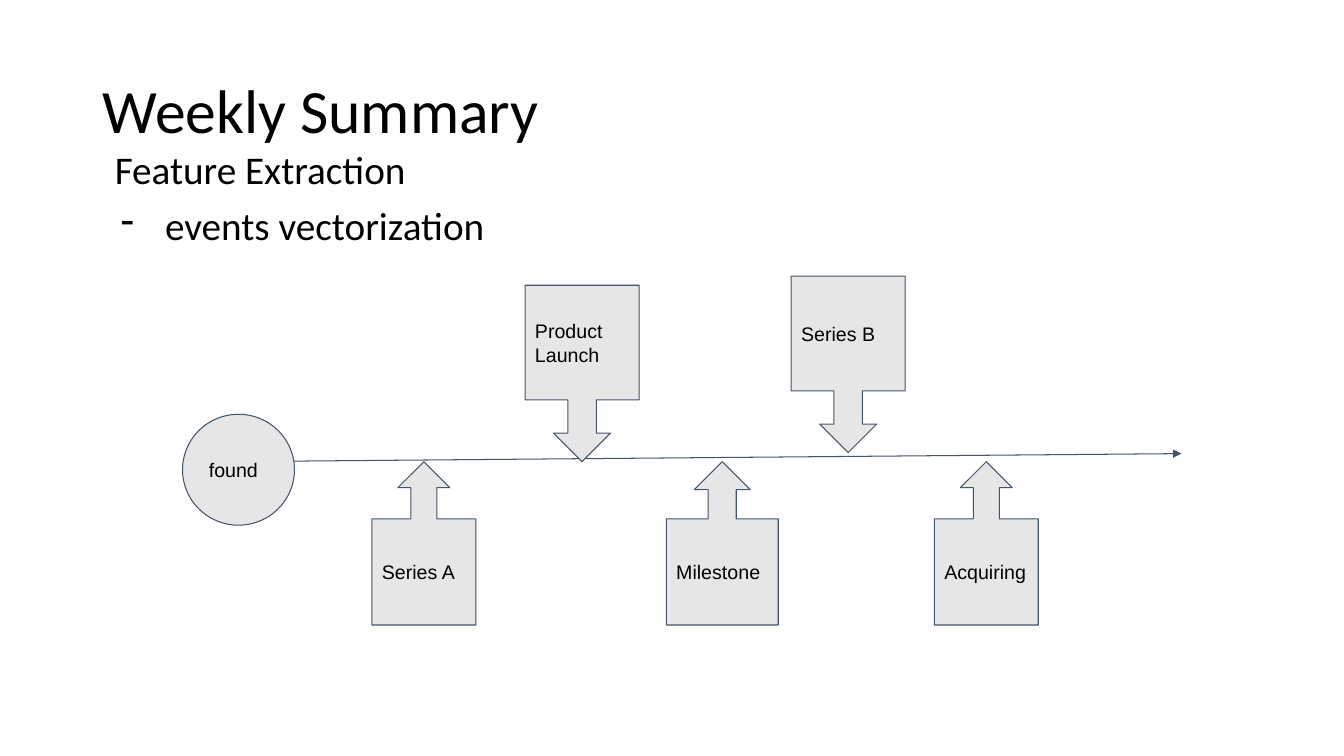
from dataclasses import dataclass

from lxml.etree import SubElement
from pptx import Presentation
from pptx.dml.color import RGBColor
from pptx.enum.shapes import MSO_CONNECTOR, MSO_SHAPE
from pptx.enum.text import MSO_ANCHOR, PP_ALIGN
from pptx.oxml.ns import qn
from pptx.util import Inches, Pt

COLORS = {"text": "000000", "fill": "E7E6E6", "line": "44546A"}
PAD = 0.1
AXIS = 61.07  # height of the timeline, percent of the slide


@dataclass(frozen=True)
class Event:
    """A callout whose tip touches the timeline; lengths in percent."""
    label: str
    center: float
    width: float
    above: bool = False
    tip: float = AXIS


EVENTS = [
    Event("Series A", 31.54, 7.73),
    Event("Milestone", 53.74, 8.33),
    Event("Product Launch", 43.31, 8.48, above=True),
    Event("Acquiring", 73.39, 7.73),
    Event("Series B", 63.11, 8.48, above=True, tip=59.87),
]

prs = Presentation()
prs.slide_width, prs.slide_height = Inches(13.333), Inches(7.5)
s = prs.slides.add_slide(prs.slide_layouts[6])


def px(share: float) -> int:
    return round(prs.slide_width * share / 100)


def py(share: float) -> int:
    return round(prs.slide_height * share / 100)


def rgb(name: str) -> RGBColor:
    return RGBColor.from_string(COLORS[name])


def write(sp, text: str, *, size: float, font: str, anchor=MSO_ANCHOR.MIDDLE,
          pad_y: float = PAD, spacing: float = 1.0, before: float = 0) -> None:
    tf = sp.text_frame
    tf.word_wrap = True
    tf.vertical_anchor = anchor
    tf.margin_left = tf.margin_right = Inches(PAD)
    tf.margin_top = tf.margin_bottom = Inches(pad_y)
    tf.text = text
    for p in tf.paragraphs:
        p.alignment = PP_ALIGN.LEFT
        p.line_spacing, p.space_before = spacing, Pt(before)
        for r in p.runs:
            r.font.size, r.font.name = Pt(size), font
            r.font.color.rgb = rgb("text")


def add_text(left: float, top: float, width: float, height: float, text: str, **fmt):
    sp = s.shapes.add_textbox(px(left), py(top), px(width), py(height))
    write(sp, text, font="Calibri", pad_y=0.05, spacing=0.9, **fmt)
    return sp


def add_node(kind, left: float, top: float, width: float, height: float, text: str):
    sp = s.shapes.add_shape(kind, px(left), py(top), px(width), py(height))
    sp.shadow.inherit = False
    sp.fill.solid()
    sp.fill.fore_color.rgb = rgb("fill")
    sp.line.color.rgb = rgb("line")
    sp.line.width = Pt(0.75)
    write(sp, text, size=14, font="Arial")
    return sp


def add_event(event: Event) -> None:
    height = 23.33 if event.above else 21.6
    kind = MSO_SHAPE.DOWN_ARROW_CALLOUT if event.above else MSO_SHAPE.UP_ARROW_CALLOUT
    top = event.tip - height if event.above else event.tip
    sp = add_node(kind, event.center - event.width / 2, top, event.width, height, event.label)
    for i, value in enumerate((0.25, 0.25, 0.25, 0.65)):
        sp.adjustments[i] = value


def add_arrow(x1: float, y1: float, x2: float, y2: float) -> None:
    cn = s.shapes.add_connector(MSO_CONNECTOR.STRAIGHT, px(x1), py(y1), px(x2), py(y2))
    cn.line.color.rgb = rgb("line")
    cn.line.width = Pt(0.75)
    SubElement(cn.line._get_or_add_ln(), qn("a:tailEnd"), type="triangle")
    SubElement(cn._element.spPr, qn("a:effectLst"))


# Title and body
add_text(6.9, 5.33, 86.25, 19.33, "Weekly Summary", size=44)
body = add_text(7.8, 19.2, 86.25, 63.47, "Feature Extraction\nevents vectorization",
                size=28, anchor=MSO_ANCHOR.TOP, before=10)
pPr = body.text_frame.paragraphs[1]._p.get_or_add_pPr()
pPr.set("marL", str(Inches(0.5)))
pPr.set("indent", str(Inches(-0.44)))
SubElement(pPr, qn("a:buChar"), char="-")

# Timeline, its start and its events
add_arrow(17.1, AXIS, 87.9, 60)
add_node(MSO_SHAPE.OVAL, 13.58, 54.8, 8.33, 14.67, "found")
for event in EVENTS:
    add_event(event)

prs.save("out.pptx")
